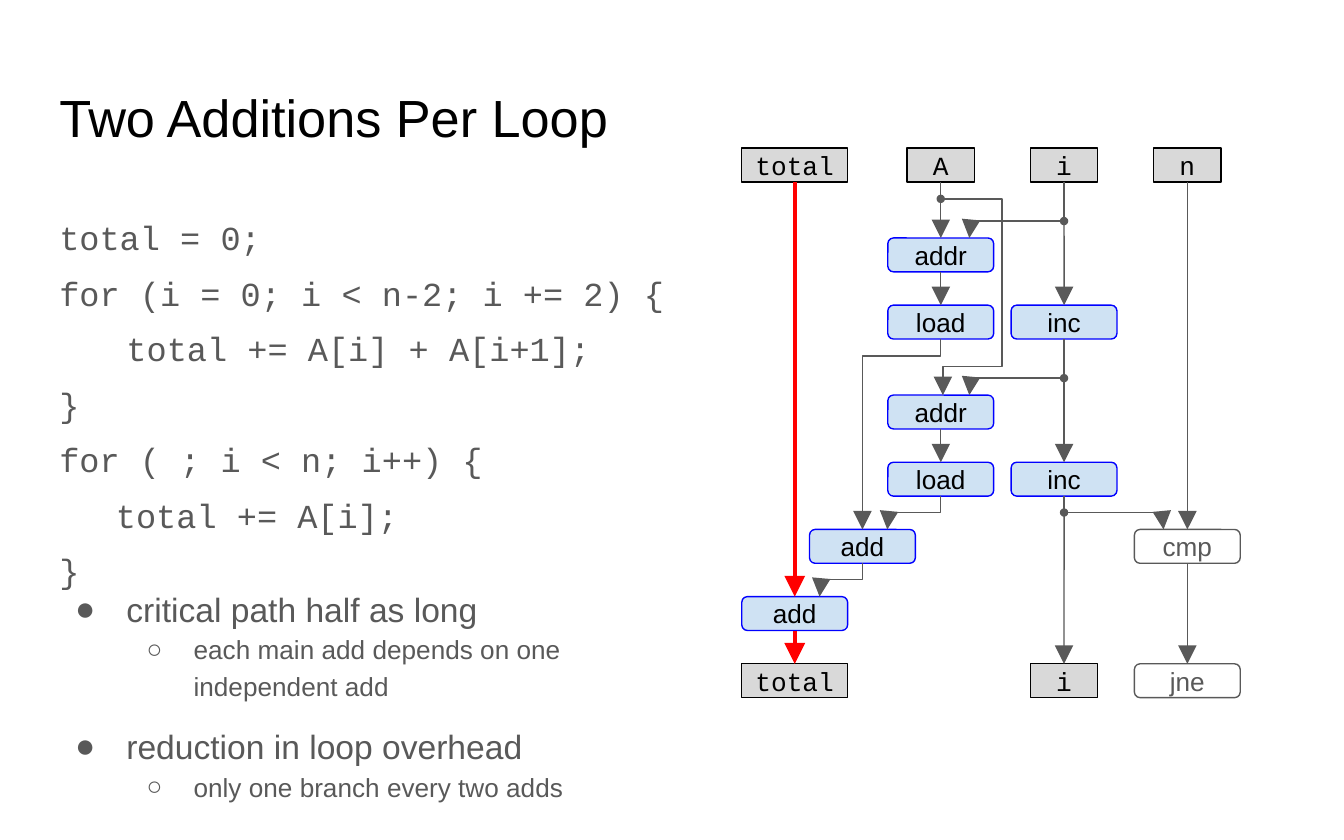
from itertools import accumulate

from lxml import etree
from pptx import Presentation
from pptx.dml.color import RGBColor
from pptx.enum import shapes, text
from pptx.oxml import ns
from pptx.util import Cm, Pt

BLACK = RGBColor(0, 0, 0)
GRAY = RGBColor(0x59, 0x59, 0x59)
LIGHT_GRAY = RGBColor(0xD9, 0xD9, 0xD9)
WHITE = RGBColor(0xFF, 0xFF, 0xFF)
BLUE = RGBColor(0, 0, 0xFF)
LIGHT_BLUE = RGBColor(0xCF, 0xE2, 0xF3)
RED = RGBColor(0xFF, 0, 0)
SANS, MONO = "Arial", "Courier New"

TITLE = "Two Additions Per Loop"
# (text, first-line indent in cm); \v is a line break
CODE = [
    ("total = 0;", 0),
    ("for (i = 0; i < n-2; i += 2) {\v\ttotal += A[i] + A[i+1];", 0),
    ("}", 0),
    ("for ( ; i < n; i++) {", 0),
    ("total += A[i];\v}", 1.07),
]
BULLETS = [
    (0, "critical path half as long"),
    (1, "each main add depends on one independent add"),
    (0, "reduction in loop overhead"),
    (1, "only one branch every two adds"),
]
# level: (symbol, left margin cm, hanging cm, font size, space after)
BULLET_LEVELS = [("●", 1.27, 0.97, 18, 0), ("○", 2.54, 0.89, 14, 10)]

# Dataflow graph, in cm
COLUMNS = {"total": 15.02, "sum": 16.3, "A": 17.78, "i": 20.11, "n": 22.44}
ROWS = list(accumulate([2.8, 1.7, 1.27, 1.7, 1.27, 1.27, 1.27, 1.27]))
NODE_HEIGHT, WIDE, NARROW = 0.64, 2.0, 1.27
TURN = 0.32  # height of an elbow's turn above its target
DOT = 0.16

# style: (preset, fill, line, font, font colour)
RECTANGLE = shapes.MSO_SHAPE.RECTANGLE
ROUNDED = shapes.MSO_SHAPE.ROUNDED_RECTANGLE
STYLES = {
    "variable": (RECTANGLE, LIGHT_GRAY, BLACK, MONO, BLACK),
    "operation": (ROUNDED, LIGHT_BLUE, BLUE, SANS, BLACK),
    "control": (ROUNDED, WHITE, GRAY, SANS, GRAY),
}
# key: (label, column, row, width, style)
NODES = {
    "total in": ("total", "total", 0, WIDE, "variable"),
    "A in": ("A", "A", 0, NARROW, "variable"),
    "i in": ("i", "i", 0, NARROW, "variable"),
    "n in": ("n", "n", 0, NARROW, "variable"),
    "addr 1": ("addr", "A", 1, WIDE, "operation"),
    "load 1": ("load", "A", 2, WIDE, "operation"),
    "inc 1": ("inc", "i", 2, WIDE, "operation"),
    "addr 2": ("addr", "A", 3, WIDE, "operation"),
    "load 2": ("load", "A", 4, WIDE, "operation"),
    "inc 2": ("inc", "i", 4, WIDE, "operation"),
    "pair add": ("add", "sum", 5, WIDE, "operation"),
    "cmp": ("cmp", "n", 5, WIDE, "control"),
    "total add": ("add", "total", 6, WIDE, "operation"),
    "total out": ("total", "total", 7, WIDE, "variable"),
    "i out": ("i", "i", 7, NARROW, "variable"),
    "jne": ("jne", "n", 7, WIDE, "control"),
}
CHAINS = [
    (["A in", "addr 1", "load 1"], GRAY, 0.75),
    (["addr 2", "load 2"], GRAY, 0.75),
    (["i in", "inc 1", "inc 2", "i out"], GRAY, 0.75),
    (["n in", "cmp", "jne"], GRAY, 0.75),
    (["total in", "total add", "total out"], RED, 2.25),
]
# (source, target, arrival offset from the target's centre)
ELBOWS = [
    ("i in", "addr 1", 0.54),
    ("inc 1", "addr 2", 0.54),
    ("load 2", "pair add", 0.47),
    ("pair add", "total add", 0.47),
    ("inc 2", "cmp", -0.45),
]
BYPASS_X = 18.94
BRANCH_Y = ROWS[0] + NODE_HEIGHT + TURN
DOTS = [("A", BRANCH_Y)] + [("i", ROWS[row] - TURN) for row in (1, 3, 5)]


def add_element(parent, tag, **attributes):
    names = {key: str(value) for key, value in attributes.items()}
    return etree.SubElement(parent, ns.qn(tag), names)


def set_font(paragraph, name, size, color):
    paragraph.font.name = name
    paragraph.font.size = Pt(size)
    paragraph.font.color.rgb = color


def prepare_frame(shape, left, top, width, height):
    """Place a text shape and give it wrapped, top-anchored text."""
    shape.left, shape.top = Cm(left), Cm(top)
    shape.width, shape.height = Cm(width), Cm(height)
    frame = shape.text_frame
    frame.word_wrap = True
    frame.auto_size = text.MSO_AUTO_SIZE.NONE
    frame.vertical_anchor = text.MSO_ANCHOR.TOP
    frame.margin_left = frame.margin_right = Cm(0.25)
    frame.margin_top = frame.margin_bottom = Cm(0.25)
    return frame


def add_paragraphs(frame, count):
    return [frame.paragraphs[0]] + [frame.add_paragraph() for _ in range(count - 1)]


def fill_code(frame):
    for paragraph, (line, indent) in zip(add_paragraphs(frame, len(CODE)), CODE):
        paragraph.text = line
        paragraph.line_spacing = 1.38
        paragraph.space_before = Pt(0)
        properties = paragraph._p.get_or_add_pPr()
        properties.set("marL", "0")
        properties.set("indent", str(Cm(indent)))
        add_element(properties, "a:buNone")
        tabs = add_element(properties, "a:tabLst")
        add_element(tabs, "a:tab", pos=Cm(2.54), algn="l")
        set_font(paragraph, MONO, 18, GRAY)


def fill_bullets(frame):
    for paragraph, (level, line) in zip(add_paragraphs(frame, len(BULLETS)), BULLETS):
        symbol, margin, hanging, size, after = BULLET_LEVELS[level]
        paragraph.text = line
        paragraph.level = level
        paragraph.line_spacing = 1.15
        paragraph.space_after = Pt(after)
        properties = paragraph._p.get_or_add_pPr()
        properties.set("marL", str(Cm(margin)))
        properties.set("indent", str(-Cm(hanging)))
        add_element(properties, "a:buFont", typeface=SANS)
        add_element(properties, "a:buChar", char=symbol)
        set_font(paragraph, SANS, size, GRAY)


def add_node(slide, label, column, row, width, style):
    preset, fill, line, font, color = STYLES[style]
    shape = slide.shapes.add_shape(preset, Cm(COLUMNS[column] - width / 2),
                                   Cm(ROWS[row]), Cm(width), Cm(NODE_HEIGHT))
    shape.shadow.inherit = False
    shape.fill.solid()
    shape.fill.fore_color.rgb = fill
    shape.line.color.rgb = line
    shape.line.width = Pt(0.75)
    frame = shape.text_frame
    frame.margin_left = frame.margin_right = frame.margin_top = frame.margin_bottom = 0
    frame.vertical_anchor = text.MSO_ANCHOR.MIDDLE
    paragraph = frame.paragraphs[0]
    paragraph.text = label
    paragraph.alignment = text.PP_ALIGN.CENTER
    set_font(paragraph, font, 14, color)
    return shape


def style_arrow(line, color, width):
    line.color.rgb = color
    line.width = Pt(width)
    add_element(line._get_or_add_ln(), "a:tailEnd", type="triangle", w="lg", len="lg")


def add_arrow(slide, source, target, color, width):
    connector = slide.shapes.add_connector(shapes.MSO_CONNECTOR.STRAIGHT, 0, 0, 0, 0)
    connector.begin_connect(source, 2)
    connector.end_connect(target, 0)
    style_arrow(connector.line, color, width)
    add_element(connector._element.spPr, "a:effectLst")


def add_path(slide, points):
    start, *others = [(Cm(x), Cm(y)) for x, y in points]
    builder = slide.shapes.build_freeform(*start)
    builder.add_line_segments(others, close=False)
    shape = builder.convert_to_shape()
    shape.fill.background()
    style_arrow(shape.line, GRAY, 0.75)
    shape.shadow.inherit = False


def below(key):
    _, column, row, _, _ = NODES[key]
    return COLUMNS[column], ROWS[row] + NODE_HEIGHT


def above(key, offset=0):
    _, column, row, _, _ = NODES[key]
    return COLUMNS[column] + offset, ROWS[row]


def add_elbow(slide, start, turn_y, end):
    add_path(slide, [start, (start[0], turn_y), (end[0], turn_y), end])


def add_graph(slide):
    nodes = {key: add_node(slide, *node) for key, node in NODES.items()}
    for source, target, offset in ELBOWS:
        end = above(target, offset)
        add_elbow(slide, below(source), end[1] - TURN, end)
    start = below("load 1")
    add_elbow(slide, start, start[1] + TURN, above("pair add"))
    start, end = below("A in"), above("addr 2", 0.04)
    bypass_turn = end[1] - 0.54
    add_path(slide, [start, (start[0], BRANCH_Y), (BYPASS_X, BRANCH_Y),
                     (BYPASS_X, bypass_turn), (end[0], bypass_turn), end])
    for keys, color, width in CHAINS:
        for source, target in zip(keys, keys[1:]):
            add_arrow(slide, nodes[source], nodes[target], color, width)
    for column, y in DOTS:
        dot = slide.shapes.add_shape(shapes.MSO_SHAPE.OVAL, Cm(COLUMNS[column] - DOT / 2),
                                     Cm(y - DOT / 2), Cm(DOT), Cm(DOT))
        dot.shadow.inherit = False
        dot.fill.solid()
        dot.fill.fore_color.rgb = GRAY
        dot.line.fill.background()


def main():
    presentation = Presentation()
    presentation.slide_width, presentation.slide_height = Cm(25.4), Cm(15.88)
    slide = presentation.slides.add_slide(presentation.slide_layouts[1])
    title, body = slide.placeholders

    frame = prepare_frame(title, 0.87, 1.37, 23.67, 1.78)
    paragraph = frame.paragraphs[0]
    paragraph.text = TITLE
    paragraph.alignment = text.PP_ALIGN.LEFT
    set_font(paragraph, SANS, 28, BLACK)

    fill_code(prepare_frame(body, 0.87, 3.56, 23.67, 10.54))
    add_graph(slide)
    bullets = slide.shapes.add_textbox(0, 0, 0, 0)
    fill_bullets(prepare_frame(bullets, 0.87, 10.77, 11, 2.41))
    presentation.save("out.pptx")


if __name__ == "__main__":
    main()
